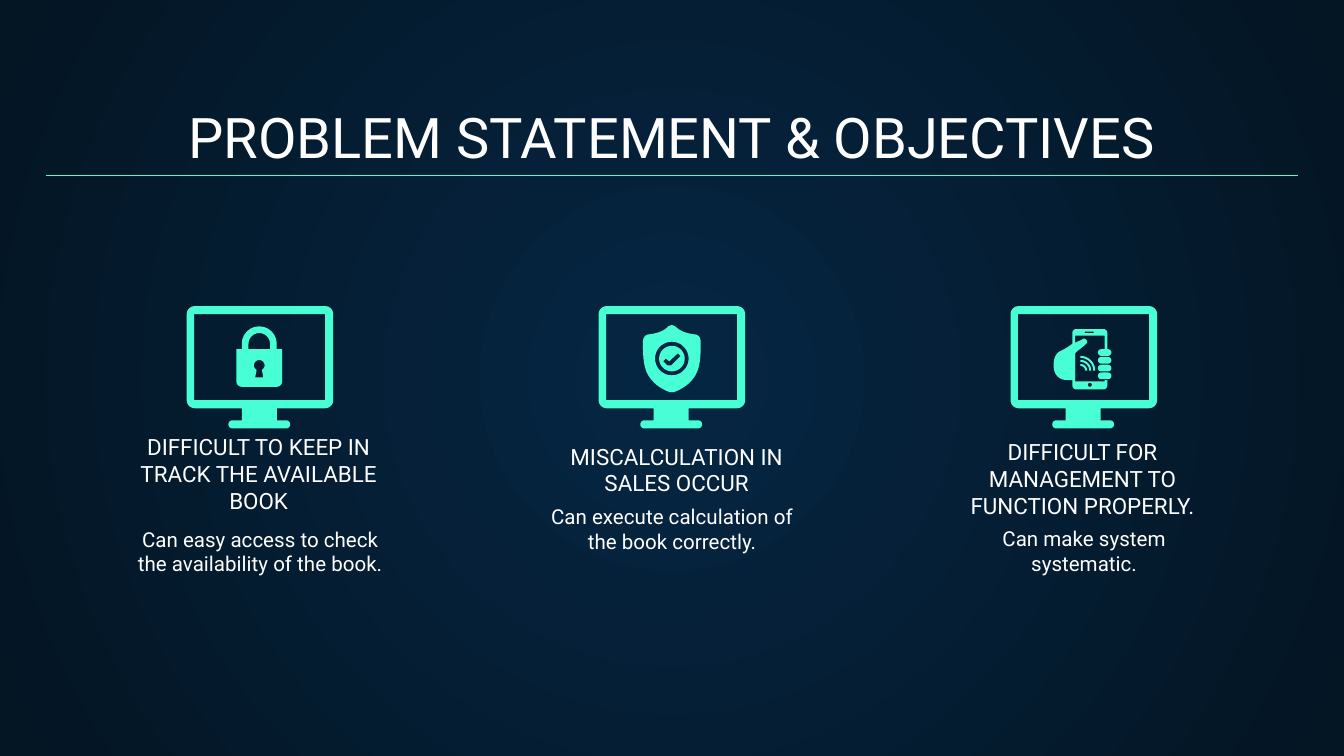
import math
from dataclasses import dataclass

import pptx
import pptx.dml.color
import pptx.enum.shapes
import pptx.enum.text
import pptx.oxml.ns
import pptx.oxml.xmlchemy
import pptx.util


@dataclass(frozen=True)
class Theme:
    font: str = "Roboto"
    title_size: int = 30
    heading_size: int = 12
    note_size: int = 11
    text: str = "FFFFFF"
    accent: str = "48FFD5"
    glow: str = "052643"
    night: str = "041523"


THEME = Theme()
WIDTH = pptx.util.Inches(10)
HEIGHT = pptx.util.Emu(WIDTH * 9 // 16)
COLUMN, ROW = WIDTH / 100, HEIGHT / 100  # the slide as a grid of 100 by 100
INSET = pptx.util.Inches(0.1)
ICON_UNIT = COLUMN / 10   # icons are drawn on a grid of 110 by 92 units
FINENESS = 100            # steps kept within one icon unit


def rgb(value):
    return pptx.dml.color.RGBColor.from_string(value)


# Contours, as lists of points on the icon grid
def arc(x, y, radius, start, end, steps=12):
    angles = [math.radians(start + (end - start) * i / steps) for i in range(steps + 1)]
    return [(x + radius * math.cos(a), y + radius * math.sin(a)) for a in angles]


def circle(x, y, radius):
    return arc(x, y, radius, 0, 360, 36)


def curve(*controls, steps=10):
    points = []
    for i in range(steps + 1):
        t = i / steps
        weights = ((1 - t) ** 3, 3 * t * (1 - t) ** 2, 3 * t * t * (1 - t), t ** 3)
        points.append(tuple(sum(w * c[axis] for w, c in zip(weights, controls))
                            for axis in (0, 1)))
    return points


def pill(left, top, width, height):
    r = height / 2
    return (arc(left + r, top + r, r, 90, 270)
            + arc(left + width - r, top + r, r, -90, 90))


# Icon parts: each part is a list of contours, where inner ones cut holes
def monitor():
    outline = (arc(6, 6, 6, 180, 270) + arc(103, 6, 6, 270, 360) + arc(103, 70, 6, 0, 90)
               + [(67, 76), (67, 85)] + arc(74, 88, 3, -90, 90)
               + arc(34, 88, 3, 90, 270) + [(41, 85), (41, 76)] + arc(6, 70, 6, 90, 180))
    screen = [(5.5, 6), (103, 6), (103, 70), (5.5, 70)]
    return [outline, screen]


def padlock():
    body = ([(37, 32), (41, 32)] + arc(54, 28, 13, 180, 360) + [(67, 32), (71, 32)]
            + arc(67, 56, 4, 0, 90) + arc(41, 56, 4, 90, 180))
    shackle_gap = arc(54, 28, 8, 180, 360) + [(62, 32), (46, 32)]
    keyhole = arc(54, 44, 4, 120, 420) + [(57, 53), (51, 53)]
    return [[body, shackle_gap, keyhole]]


def shield():
    right = ([(54.5, 14)] + curve((57, 15), (61, 19), (65, 20), (71, 21))
             + curve((71, 21), (74, 21), (76, 23), (76, 27))
             + curve((76, 28), (76, 33), (76, 41), (74, 47))
             + curve((74, 47), (72, 54), (65, 61), (56, 64)))
    left = [(109 - x, y) for x, y in reversed(right)]
    check = [(59, 35), (61, 37), (54, 44), (51, 44), (48, 41), (50, 39), (52.5, 41)]
    return [[circle(54.5, 39, 9.5), check], [right + left, circle(54.5, 39, 12.5)]]


def phone_in_hand():
    phone = (arc(49, 20, 3, 180, 270) + arc(69, 20, 3, 270, 360)
             + [(72, 32), (70, 32), (70, 22), (48, 22), (48, 56), (70, 56), (70, 55), (72, 55)]
             + arc(69, 59, 3, 0, 90) + arc(49, 59, 3, 90, 180))
    fingers = [pill(65, 32 + 5.8 * i, 10, 5) for i in range(4)]
    waves = [arc(52, 48, r, -90, 0) + arc(52, 48, r - 1.5, 0, -90) for r in (11, 8, 5)]
    hand = (curve((46, 28), (42, 31), (38, 33), (38, 33))
            + curve((38, 33), (35, 34), (32, 37), (32, 44))
            + curve((32, 44), (32, 52), (37, 55), (42, 55))
            + [(48, 55), (48, 35)] + curve((48, 35), (51, 32), (56, 29), (57, 27))
            + curve((57, 27), (57, 25), (55, 23), (53, 25)))
    return [[phone, pill(55, 19, 7, 1), circle(59, 58.5, 1.5), *fingers, *waves], [hand]]


def draw_icon(slide, left, top, symbol):
    parts = []
    for contours in [monitor(), *symbol()]:
        fine = [[(x * FINENESS, y * FINENESS) for x, y in c] for c in contours]
        builder = slide.shapes.build_freeform(*fine[0][0], scale=ICON_UNIT / FINENESS)
        builder.add_line_segments(fine[0][1:])
        for contour in fine[1:]:
            builder.move_to(*contour[0])
            builder.add_line_segments(contour[1:])
        part = builder.convert_to_shape(int(left), int(top))
        part.shadow.inherit = False
        part.fill.solid()
        part.fill.fore_color.rgb = rgb(THEME.accent)
        part.line.fill.background()
        parts.append(part)
    slide.shapes.add_group_shape(parts)


# Text
def write(holder, box, text, size, anchor):
    holder.left, holder.top, holder.width, holder.height = map(int, box)
    frame = holder.text_frame
    frame.text = text
    frame.word_wrap = True
    frame.auto_size = pptx.enum.text.MSO_AUTO_SIZE.NONE
    frame.vertical_anchor = anchor
    frame.margin_left = frame.margin_right = frame.margin_top = frame.margin_bottom = INSET
    paragraph = frame.paragraphs[0]
    paragraph.alignment = pptx.enum.text.PP_ALIGN.CENTER
    font = paragraph.runs[0].font
    font.name, font.size = THEME.font, pptx.util.Pt(size)
    font.color.rgb = rgb(THEME.text)


# Regions of the slide
def paint_background(slide):
    fill = slide.background.fill
    fill.gradient()
    for stop, colour in zip(fill.gradient_stops, (THEME.glow, THEME.night)):
        stop.color.rgb = rgb(colour)
    gradient = next(slide.element.iter(pptx.oxml.ns.qn("a:gradFill")))
    gradient.remove(gradient.find(pptx.oxml.ns.qn("a:lin")))
    circular = pptx.oxml.xmlchemy.OxmlElement("a:path")
    circular.set("path", "circle")
    centre = pptx.oxml.xmlchemy.OxmlElement("a:fillToRect")
    for side in "ltrb":
        centre.set(side, "50000")
    circular.append(centre)
    gradient.append(circular)


def add_title_band(slide, left, top, width, height):
    write(slide.shapes.title, (left, top, width, height), "PROBLEM STATEMENT & OBJECTIVES",
          THEME.title_size, pptx.enum.text.MSO_ANCHOR.BOTTOM)
    rule_y = int(top + height * 0.91)
    rule = slide.shapes.add_connector(pptx.enum.shapes.MSO_CONNECTOR.STRAIGHT,
                                      int(left), rule_y, int(left + width), rule_y)
    rule.line.color.rgb = rgb(THEME.accent)
    rule.line.width = pptx.util.Pt(0.75)
    rule.element.spPr.append(pptx.oxml.xmlchemy.OxmlElement("a:effectLst"))


def add_problem(slide, left, top, width, problem):
    heading, heading_drop, heading_shift, objective, objective_drop, symbol = problem
    heading_box = slide.shapes.add_textbox(0, 0, 0, 0)
    write(heading_box, (left + heading_shift * width, top + heading_drop * ROW,
                        width, 3.75 * ROW),
          heading, THEME.heading_size, pptx.enum.text.MSO_ANCHOR.BOTTOM)
    objective_box = slide.shapes.add_textbox(0, 0, 0, 0)
    write(objective_box, (left + 0.05 * width, top + objective_drop * ROW,
                          0.91 * width, 9.8 * ROW),
          objective, THEME.note_size, pptx.enum.text.MSO_ANCHOR.TOP)
    draw_icon(slide, left + 0.264 * width, top, symbol)


# Heading, rows below the icon's top, sideways shift; objective, its rows; symbol
PROBLEMS = [
    ("DIFFICULT TO KEEP IN TRACK THE AVAILABLE BOOK", 25.5, 0,
     "Can easy access to check the availability of the book.", 27.4, padlock),
    ("MISCALCULATION IN SALES OCCUR", 23.2, 0.02,
     "Can execute calculation of the book correctly.", 24.4, shield),
    ("DIFFICULT FOR MANAGEMENT TO FUNCTION PROPERLY.", 26.2, 0,
     "Can make system systematic.", 27.3, phone_in_hand),
]


def main():
    deck = pptx.Presentation()
    deck.slide_width, deck.slide_height = WIDTH, HEIGHT
    slide = deck.slides.add_slide(deck.slide_layouts[5])
    paint_background(slide)
    add_title_band(slide, 3.4 * COLUMN, 12.5 * ROW, 93.2 * COLUMN, 11.75 * ROW)
    for index, problem in enumerate(PROBLEMS):
        add_problem(slide, (7.9 + 30.65 * index) * COLUMN, 40.5 * ROW, 22.7 * COLUMN, problem)
    deck.save("out.pptx")


if __name__ == "__main__":
    main()
